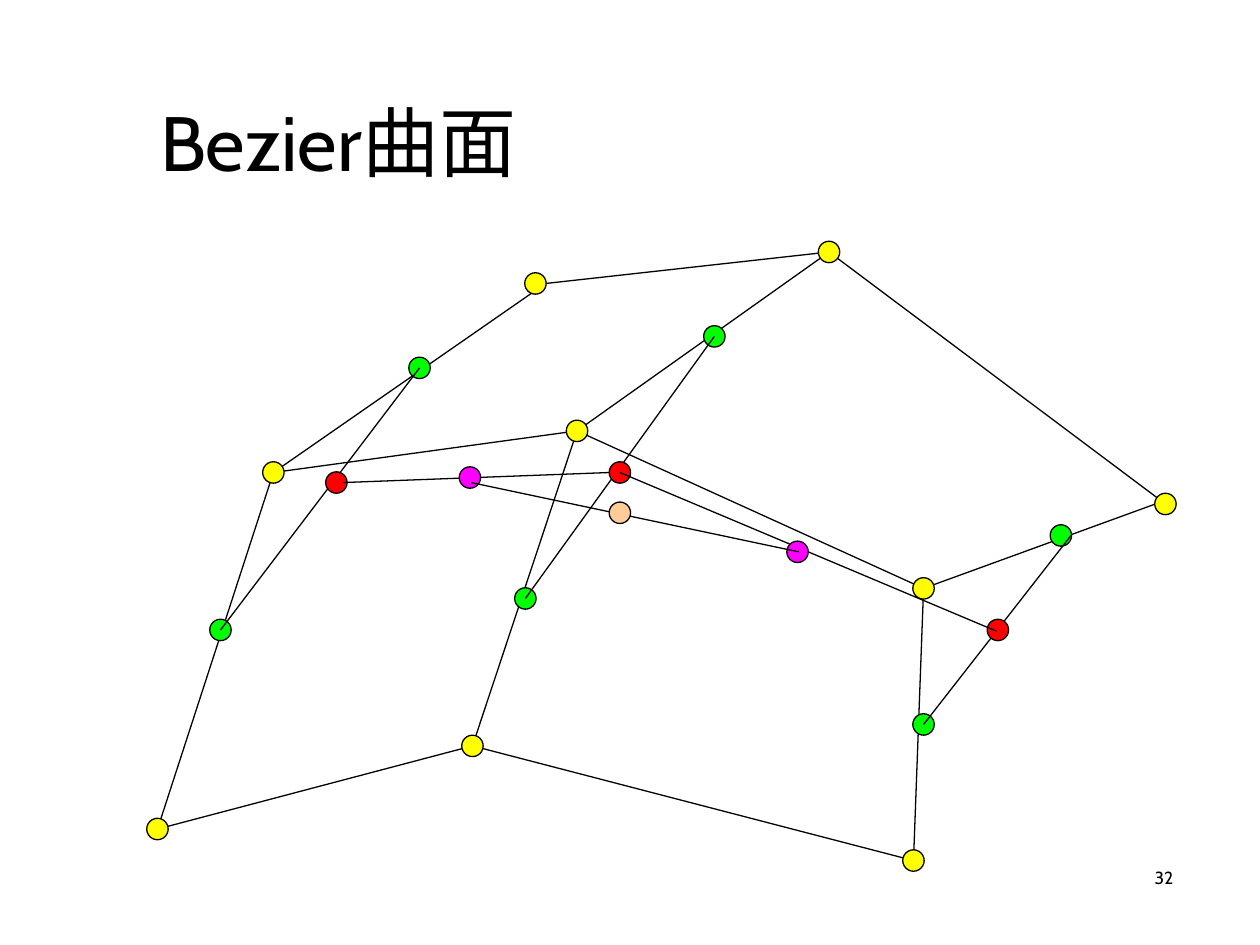
from dataclasses import dataclass
from itertools import pairwise

from lxml import etree
from pptx import Presentation
from pptx.dml.color import RGBColor
from pptx.enum.shapes import MSO_CONNECTOR, MSO_SHAPE
from pptx.enum.text import MSO_ANCHOR, MSO_AUTO_SIZE, PP_ALIGN
from pptx.oxml.ns import qn
from pptx.util import Inches, Pt

STRAIGHT = MSO_CONNECTOR.STRAIGHT
OVAL = MSO_SHAPE.OVAL
LEFT, RIGHT = PP_ALIGN.LEFT, PP_ALIGN.RIGHT
TOP, MIDDLE = MSO_ANCHOR.TOP, MSO_ANCHOR.MIDDLE
NO_AUTOFIT = MSO_AUTO_SIZE.NONE


@dataclass(frozen=True)
class Theme:
    font: str = "Cabin"
    title_size: int = 44
    number_size: int = 10
    stroke: float = 0.75
    dot: float = 0.17
    ink: str = "000000"
    control: str = "FFFF00"
    first_split: str = "00FF00"
    second_split: str = "FF0000"
    cross_split: str = "FF00FF"
    surface: str = "FFCC99"


THEME = Theme()

# All points are in inches from the top left corner of the diagram box.
FAR_ROW = [(3.25, 1.25), (5.58, 1), (8.25, 3)]
MIDDLE_ROW = [(1.17, 2.75), (3.58, 2.42), (6.33, 3.67)]
NEAR_ROW = [(0.25, 5.58), (2.75, 4.92), (6.25, 5.83)]

# The net meets the outer far points at the rim of their dots.
FAR_LEFT_RIM, FAR_RIGHT_RIM = (3.33, 1.25), (8.17, 3)
ROW_LINES = [[FAR_LEFT_RIM, *FAR_ROW[1:]], MIDDLE_ROW, NEAR_ROW]
COLUMN_LINES = list(zip([FAR_LEFT_RIM, FAR_ROW[1], FAR_RIGHT_RIM],
                        MIDDLE_ROW, NEAR_ROW))

FIRST_POINTS = [(2.33, 1.92), (4.67, 1.67), (7.42, 3.25),
                (0.75, 4), (3.17, 3.75), (6.33, 4.75)]
FIRST_LINES = [[(2.33, 1.92), (0.75, 4)],
               [(4.67, 1.67), (3.17, 3.75)],
               [(7.5, 3.25), (6.33, 4.75)]]

SECOND_POINTS = [(1.67, 2.83), (3.92, 2.75), (6.92, 4)]
SECOND_LINES = [[(1.72, 2.83), (3.84, 2.75)],
                [(3.92, 2.75), (6.91, 4.01)]]

CROSS_POINTS = [(2.73, 2.79), (5.33, 3.38)]
CROSS_LINES = [[(2.74, 2.83), (5.34, 3.38)]]
SURFACE_POINT = (3.92, 3.07)


def color(value):
    return RGBColor.from_string(value)


def set_text(frame, text, size, align, anchor):
    frame.text = text
    for name, value in {"word_wrap": True, "auto_size": NO_AUTOFIT,
                        "vertical_anchor": anchor}.items():
        setattr(frame, name, value)
    paragraph = frame.paragraphs[0]
    paragraph.alignment = align
    font = paragraph.runs[0].font
    for name, value in {"name": THEME.font, "size": Pt(size)}.items():
        setattr(font, name, value)
    font.color.rgb = color(THEME.ink)


def place_title(slide, box, text):
    title = slide.shapes.title
    for name, value in zip(("left", "top", "width", "height"), box):
        setattr(title, name, Inches(value))
    set_text(title.text_frame, text, THEME.title_size, LEFT, MIDDLE)


def add_page_number(slide, box, text):
    number = slide.shapes.add_textbox(*map(Inches, box))
    set_text(number.text_frame, text, THEME.number_size, RIGHT, TOP)


def outline(shape):
    shape.line.color.rgb = color(THEME.ink)
    shape.line.width = Pt(THEME.stroke)


def add_lines(shapes, box, polylines):
    left, top = box[:2]
    for polyline in polylines:
        for (x1, y1), (x2, y2) in pairwise(polyline):
            segment = shapes.add_connector(
                STRAIGHT, Inches(left + x1), Inches(top + y1),
                Inches(left + x2), Inches(top + y2))
            outline(segment)
            etree.SubElement(segment._element.spPr, qn("a:effectLst"))


def add_dots(shapes, box, centers, fill):
    left, top = box[:2]
    for x, y in centers:
        dot = shapes.add_shape(
            OVAL, Inches(left + x - THEME.dot / 2),
            Inches(top + y - THEME.dot / 2),
            Inches(THEME.dot), Inches(THEME.dot))
        dot.shadow.inherit = False
        dot.fill.solid()
        dot.fill.fore_color.rgb = color(fill)
        outline(dot)


def add_surface(slide, box):
    """Draw the control net, then each subdivision down to the surface point."""
    shapes = slide.shapes
    add_lines(shapes, box, ROW_LINES + COLUMN_LINES)
    control_points = shapes.add_group_shape().shapes
    add_dots(control_points, box, FAR_ROW + MIDDLE_ROW + NEAR_ROW,
             THEME.control)
    for points, lines, fill in (
            (FIRST_POINTS, FIRST_LINES, THEME.first_split),
            (SECOND_POINTS, SECOND_LINES, THEME.second_split),
            (CROSS_POINTS, CROSS_LINES, THEME.cross_split),
            ([SURFACE_POINT], [], THEME.surface)):
        add_dots(shapes, box, points, fill)
        add_lines(shapes, box, lines)


def main():
    deck = Presentation()
    deck.slide_width, deck.slide_height = Inches(10), Inches(7.5)
    title_only = deck.slide_layouts[5]
    slide = deck.slides.add_slide(title_only)
    place_title(slide, (1.17, 0.33, 8.25, 1.57), "Bezier曲面")
    add_page_number(slide, (7.33, 6.83, 2.08, 0.5), "32")
    add_surface(slide, (1, 1, 8.33, 5.92))
    deck.save("out.pptx")


if __name__ == "__main__":
    main()
